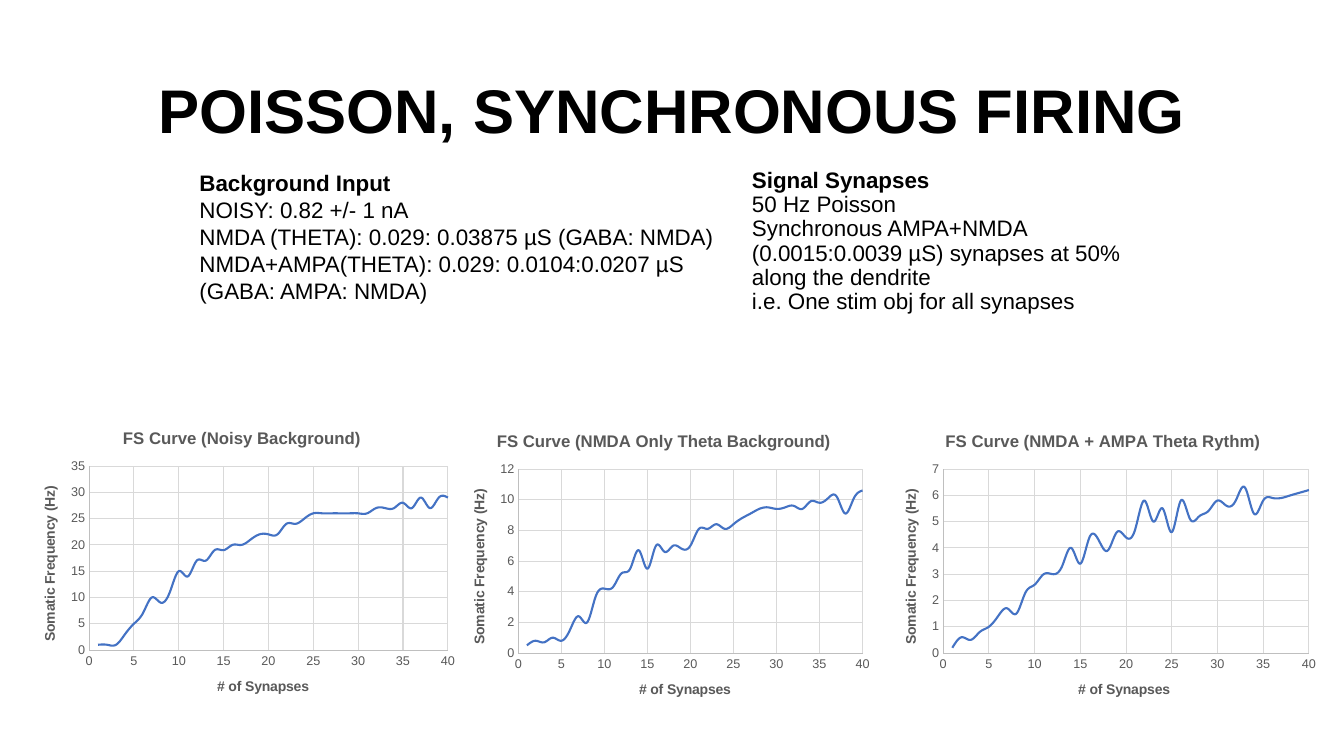
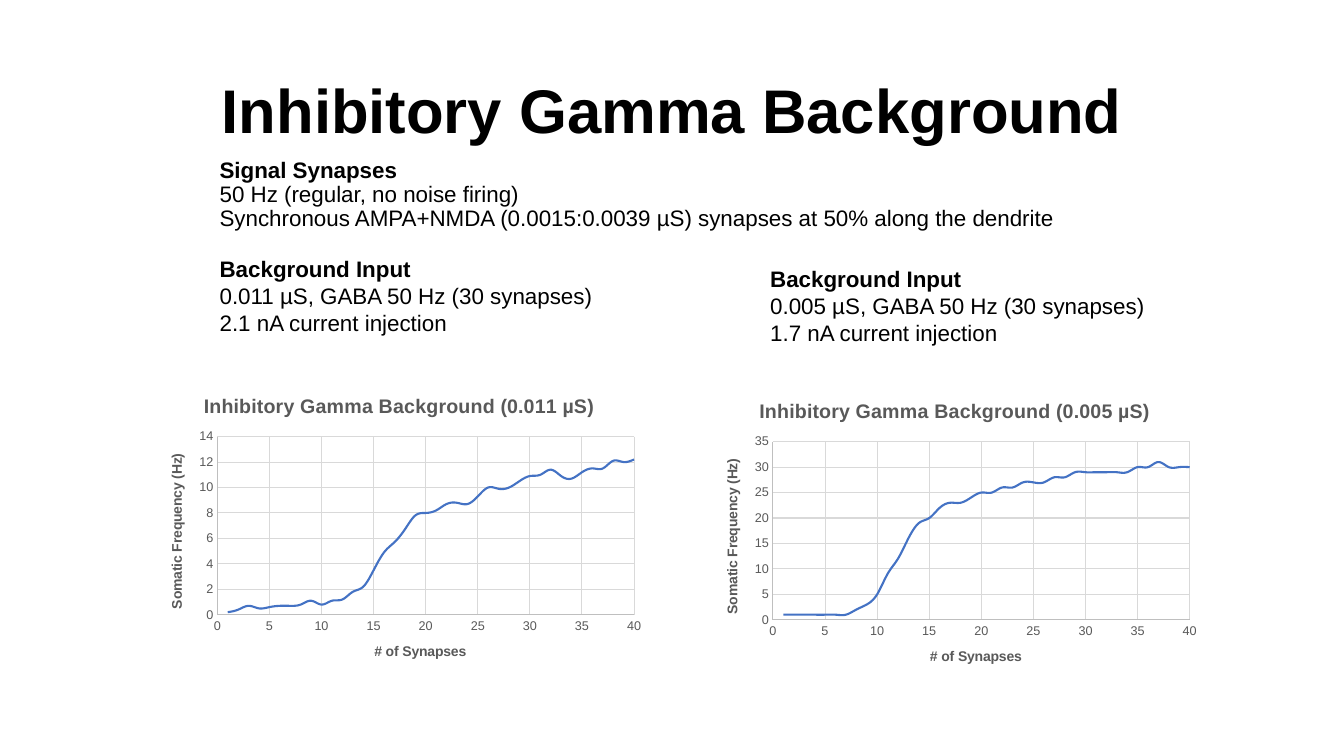
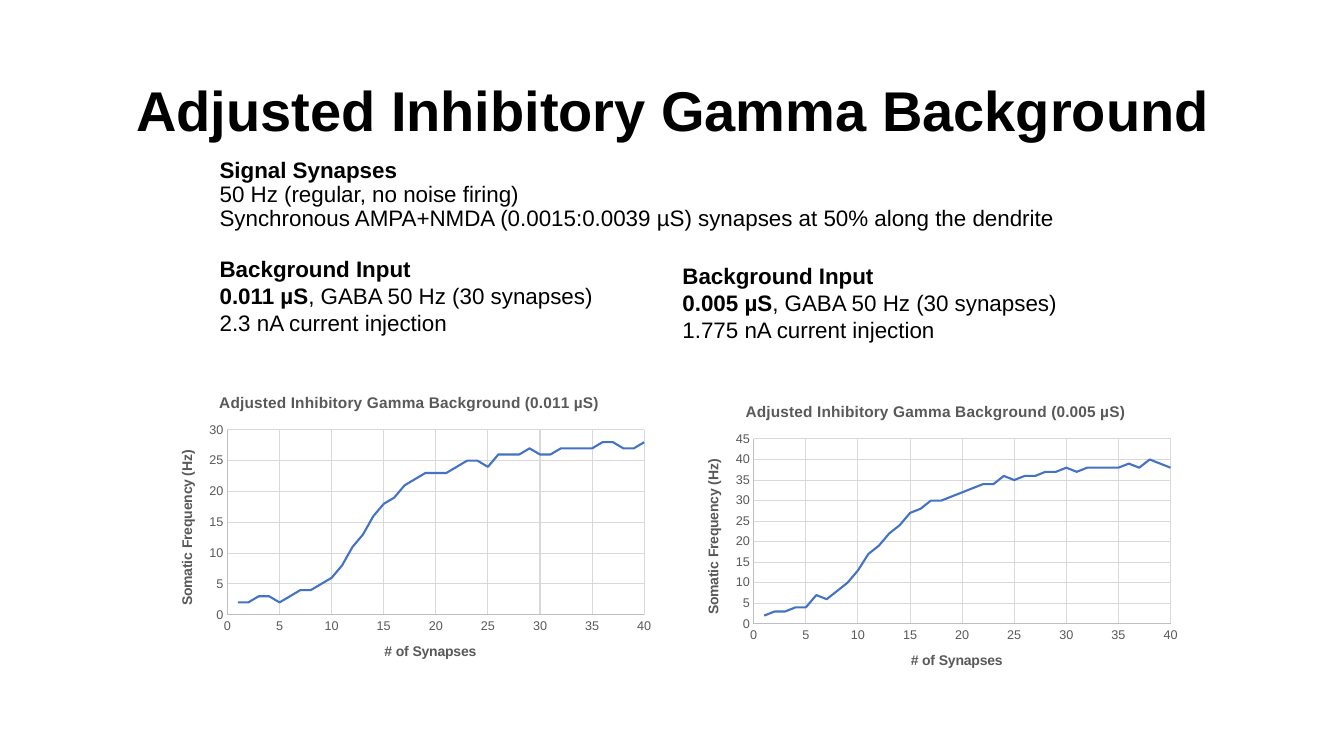
from pptx import Presentation
from pptx.chart.data import XyChartData
from pptx.dml.color import RGBColor
from pptx.enum import chart as ch, text as tx
from pptx.oxml.ns import qn
from pptx.util import Inches, Pt

BLACK = RGBColor(0, 0, 0)
GREY = RGBColor(0x59, 0x59, 0x59)
AXIS = RGBColor(0xBF, 0xBF, 0xBF)
GRID = RGBColor(0xD9, 0xD9, 0xD9)
BLUE = RGBColor(0x44, 0x72, 0xC4)
FONT = "Arial"
SMOOTH = ch.XL_CHART_TYPE.XY_SCATTER_SMOOTH_NO_MARKERS
LINES = ch.XL_CHART_TYPE.XY_SCATTER_LINES_NO_MARKERS
SIGNAL = [
    ("Signal Synapses",),
    "50 Hz (regular, no noise firing)",
    "Synchronous AMPA+NMDA (0.0015:0.0039 µS) synapses at 50% along the dendrite",
]

NOISY = [1, 1, 1, 3, 5, 7, 10, 9, 11, 15,
         14, 17, 17, 19, 19, 20, 20, 21, 22, 22,
         22, 24, 24, 25, 26, 26, 26, 26, 26, 26,
         26, 27, 27, 27, 28, 27, 29, 27, 29, 29]
NMDA = [0.5, 0.8, 0.7, 1, 0.8, 1.5, 2.4, 2, 3.7, 4.2,
        4.3, 5.2, 5.5, 6.7, 5.5, 7, 6.6, 7, 6.8, 7,
        8.1, 8.1, 8.4, 8.1, 8.4, 8.8, 9.1, 9.4, 9.5, 9.4,
        9.5, 9.6, 9.4, 9.9, 9.8, 10.1, 10.2, 9.1, 10.1, 10.6]
AMPA = [0.2, 0.6, 0.5, 0.8, 1, 1.4, 1.7, 1.5, 2.3, 2.6,
        3, 3, 3.3, 4, 3.4, 4.4, 4.3, 3.9, 4.6, 4.4,
        4.7, 5.8, 5, 5.5, 4.6, 5.8, 5.1, 5.2, 5.4, 5.8,
        5.6, 5.8, 6.3, 5.3, 5.8, 5.9, 5.9, 6, 6.1, 6.2]
HIGH = [0.2, 0.4, 0.7, 0.5, 0.6, 0.7, 0.7, 0.8, 1.1, 0.8,
        1.1, 1.2, 1.8, 2.2, 3.5, 4.9, 5.7, 6.7, 7.8, 8,
        8.2, 8.7, 8.8, 8.7, 9.3, 10, 9.9, 10, 10.5, 10.9,
        11, 11.4, 10.9, 10.7, 11.2, 11.5, 11.5, 12.1, 12, 12.2]
LOW = [1, 1, 1, 1, 1, 1, 1, 2, 3, 5,
       9, 12, 16, 19, 20, 22, 23, 23, 24, 25,
       25, 26, 26, 27, 27, 27, 28, 28, 29, 29,
       29, 29, 29, 29, 30, 30, 31, 30, 30, 30]
HIGH_ADJ = [2, 2, 3, 3, 2, 3, 4, 4, 5, 6,
            8, 11, 13, 16, 18, 19, 21, 22, 23, 23,
            23, 24, 25, 25, 24, 26, 26, 26, 27, 26,
            26, 27, 27, 27, 27, 28, 28, 27, 27, 28]
LOW_ADJ = [2, 3, 3, 4, 4, 7, 6, 8, 10, 13,
           17, 19, 22, 24, 27, 28, 30, 30, 31, 32,
           33, 34, 34, 36, 35, 36, 36, 37, 37, 38,
           37, 38, 38, 38, 38, 39, 38, 40, 39, 38]


def style(font, size, color=BLACK, bold=False):
    font.name, font.size, font.bold = FONT, Pt(size), bold
    font.color.rgb = color


def add_text(slide, box, lines, size=16, lead=1.0, align=tx.PP_ALIGN.LEFT,
             anchor=tx.MSO_ANCHOR.TOP):
    frame = slide.shapes.add_textbox(*map(Inches, box)).text_frame
    frame.word_wrap = True
    frame.vertical_anchor = anchor
    for i, line in enumerate(lines):
        para = frame.add_paragraph() if i else frame.paragraphs[0]
        para.alignment, para.line_spacing = align, lead
        bold, *rest = line if isinstance(line, tuple) else ("", line)
        for part in (bold, *rest):
            if part:
                run = para.add_run()
                run.text = part
                style(run.font, size, bold=part == bold)


def add_label(owner, words, size):
    frame = owner.text_frame
    frame.text = words
    style(frame.paragraphs[0].runs[0].font, size, GREY, True)


def set_axis(axis, words, top, step):
    axis.minimum_scale, axis.maximum_scale, axis.major_unit = 0, top, step
    axis.major_tick_mark = axis.minor_tick_mark = ch.XL_TICK_MARK.NONE
    axis.has_major_gridlines = True
    for line, color in ((axis.format.line, AXIS),
                        (axis.major_gridlines.format.line, GRID)):
        line.color.rgb, line.width = color, Pt(0.75)
    style(axis.tick_labels.font, 9, GREY)
    axis.tick_labels.number_format = "#,##0"
    axis.tick_labels.number_format_is_linked = False
    add_label(axis.axis_title, words, 10)


def set_smooth(curve, smooth):
    node = curve.format.line and curve._element
    flag = node.find(qn("c:smooth"))
    if flag is None:
        flag = node.makeelement(qn("c:smooth"), {})
        node.find(qn("c:yVal")).addnext(flag)
    flag.set("val", str(int(smooth)))


def add_curve(slide, box, title, vals, top, step, size=12, kind=SMOOTH):
    data = XyChartData()
    points = data.add_series("Series 1")
    for x, y in enumerate(vals, 1):
        points.add_data_point(x, y)
    chart = slide.shapes.add_chart(kind, *map(Inches, box), data).chart
    style(chart.font, 10)
    chart.has_legend = False
    add_label(chart.chart_title, title, size)
    chart.chart_title.include_in_layout = False
    set_axis(chart.category_axis, "# of Synapses", 40, 5)
    set_axis(chart.value_axis, "Somatic Frequency (Hz)", top, step)
    plot = chart.plots[0]
    plot.vary_by_categories = False
    curve = plot.series[0]
    set_smooth(curve, kind == SMOOTH)
    curve.marker.style = ch.XL_MARKER_STYLE.NONE
    curve.format.line.color.rgb, curve.format.line.width = BLUE, Pt(1.5)


def add_slide(deck, title, size=44):
    slide = deck.slides.add_slide(deck.slide_layouts[6])
    add_text(slide, (0.92, 0.4, 11.5, 1.45), [(title,)], size=size, lead=0.9,
             align=tx.PP_ALIGN.CENTER, anchor=tx.MSO_ANCHOR.MIDDLE)
    return slide


def add_input(slide, left, top, *lines):
    add_text(slide, (left, top, 5.48, 0.91), [("Background Input",), *lines])


def add_signal(slide):
    add_text(slide, (2.08, 1.53, 8.76, 0.95), SIGNAL, lead=0.9)


def poisson(deck):
    slide = add_slide(deck, "POISSON, SYNCHRONOUS FIRING")
    add_text(slide, (7.36, 1.63, 4.25, 1.59), [
        ("Signal Synapses",),
        "50 Hz Poisson",
        "Synchronous AMPA+NMDA (0.0015:0.0039 µS) synapses at 50% along the dendrite",
        "i.e. One stim obj for all synapses",
    ], lead=0.9)
    add_input(slide, 1.88, 1.63, "NOISY: 0.82 +/- 1 nA",
              "NMDA (THETA): 0.029: 0.03875 µS (GABA: NMDA)",
              "NMDA+AMPA(THETA): 0.029: 0.0104:0.0207 µS (GABA: AMPA: NMDA)")
    for box, name, vals, top, step in (
        ((0.2, 4.1, 4.4, 3), "Noisy Background", NOISY, 35, 5),
        ((4.46, 4.13, 4.25, 3), "NMDA Only Theta Background", NMDA, 12, 2),
        ((8.74, 4.13, 4.4, 3), "NMDA + AMPA Theta Rythm", AMPA, 7, 1),
    ):
        add_curve(slide, box, f"FS Curve ({name})", vals, top, step)


def gamma(deck):
    name = "Inhibitory Gamma Background"
    slide = add_slide(deck, name)
    add_signal(slide)
    for dose, amps, spot, box, vals, top, step in (
        ("0.011 µS", "2.1", (2.08, 2.48), (1.46, 3.75, 5, 3), HIGH, 14, 2),
        ("0.005 µS", "1.7", (7.54, 2.58), (6.97, 3.8, 5, 3), LOW, 35, 5),
    ):
        add_input(slide, *spot, f"{dose}, GABA 50 Hz (30 synapses)",
                  f"{amps} nA current injection")
        add_curve(slide, box, f"{name} ({dose})", vals, top, step, size=14)


def adjusted(deck):
    name = "Adjusted Inhibitory Gamma Background"
    slide = add_slide(deck, name, size=40)
    add_signal(slide)
    for dose, amps, spot, box, vals, top in (
        ("0.011 µS", "2.3", (2.08, 2.48), (1.56, 3.75, 5, 3), HIGH_ADJ, 30),
        ("0.005 µS", "1.775", (6.67, 2.55), (6.78, 3.84, 5, 3), LOW_ADJ, 45),
    ):
        add_input(slide, *spot, (dose, ", GABA 50 Hz (30 synapses)"),
                  f"{amps} nA current injection")
        add_curve(slide, box, f"{name} ({dose})", vals, top, 5, size=11, kind=LINES)


def main():
    deck = Presentation()
    deck.slide_width, deck.slide_height = Inches(13.33), Inches(7.5)
    for build in (poisson, gamma, adjusted):
        build(deck)
    deck.save("out.pptx")


if __name__ == "__main__":
    main()
